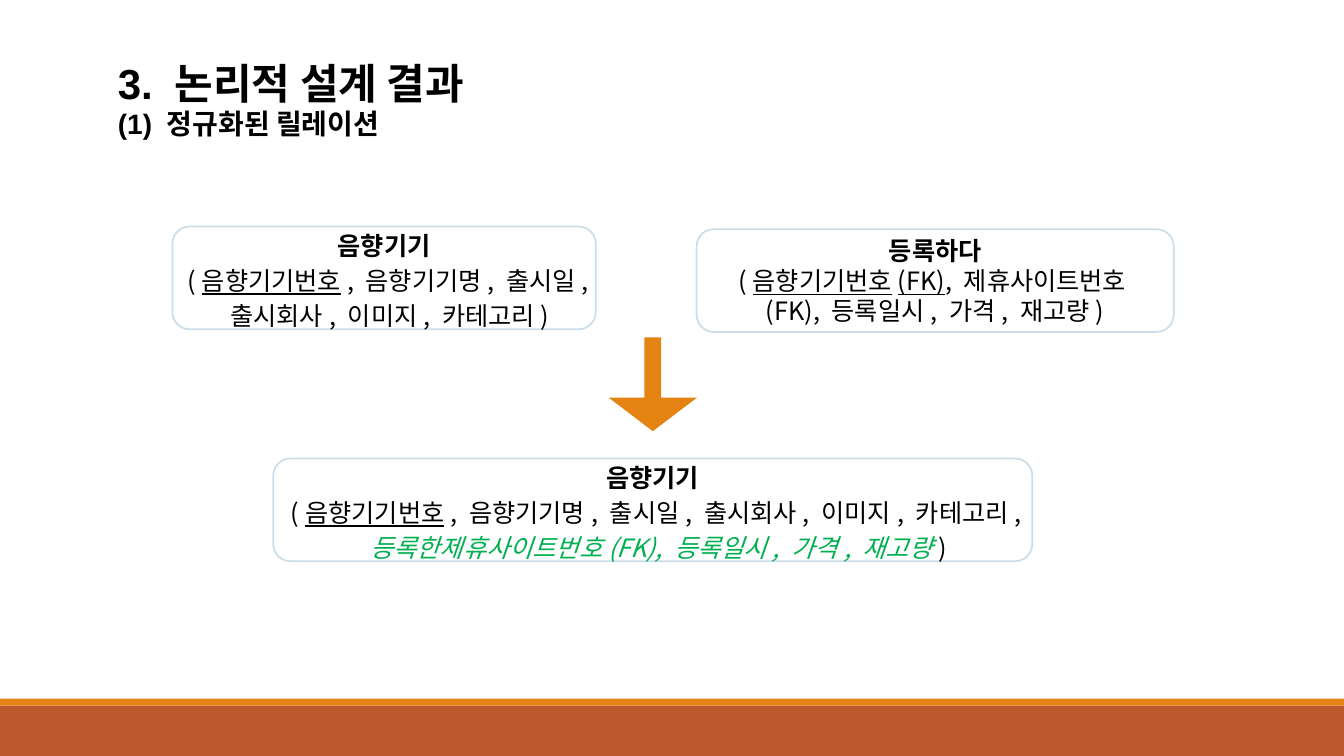
from dataclasses import dataclass

from lxml import etree
from pptx import Presentation
from pptx.dml.color import RGBColor
from pptx.enum.shapes import MSO_SHAPE
from pptx.enum.text import MSO_ANCHOR, MSO_AUTO_SIZE, PP_ALIGN
from pptx.oxml.ns import qn
from pptx.util import Pt

RECTANGLE = MSO_SHAPE.RECTANGLE
ROUNDED = MSO_SHAPE.ROUNDED_RECTANGLE
DOWN_ARROW = MSO_SHAPE.DOWN_ARROW
TOP, MIDDLE = MSO_ANCHOR.TOP, MSO_ANCHOR.MIDDLE
LEFT, CENTER = PP_ALIGN.LEFT, PP_ALIGN.CENTER
FIXED_SIZE = MSO_AUTO_SIZE.NONE
TITLE_ONLY = 5


@dataclass(frozen=True)
class Theme:
    """Colours, fonts and type sizes of the deck."""
    text: str = "000000"
    paper: str = "FFFFFF"
    outline: str = "CCDDEA"
    accent: str = "E48312"
    footer: str = "BD582C"
    merged: str = "00B050"
    latin: str = "Arial"
    korean: str = "Noto Sans CJK KR"
    title: int = 30
    subtitle: int = 20
    body: int = 18


THEME = Theme()
KEY = {"underline": True}
MERGED = {"italic": True, "color": THEME.merged}


def add_span(para, text, color=THEME.text, **formats):
    """Append a run with the given font formats."""
    span = para.add_run()
    span.text = text
    values = {"name": THEME.korean, "size": Pt(THEME.body), "bold": False, **formats}
    for name, value in values.items():
        setattr(span.font, name, value)
    span.font.color.rgb = RGBColor.from_string(color)
    east_asian = etree.Element(qn("a:ea"), typeface=THEME.korean)
    span.font._element.find(qn("a:latin")).addnext(east_asian)


def add_lines(frame, lines, alignment, anchor):
    """Fill a text frame with (line height, spans) paragraphs."""
    settings = {"word_wrap": True, "auto_size": FIXED_SIZE, "vertical_anchor": anchor}
    for name, value in settings.items():
        setattr(frame, name, value)
    for index, (height, spans) in enumerate(lines):
        para = frame.add_paragraph() if index else frame.paragraphs[0]
        layout = {"alignment": alignment, "line_spacing": Pt(height),
                  "space_before": Pt(0), "space_after": Pt(0)}
        for name, value in layout.items():
            setattr(para, name, value)
        for text, formats in spans:
            add_span(para, text, **formats)


def add_block(page, kind, box, fill, outline=None):
    """Add a filled shape without shadow, outlined if a colour is given."""
    shape = page.shapes.add_shape(kind, *map(Pt, box))
    shape.shadow.inherit = False
    shape.fill.solid()
    shape.fill.fore_color.rgb = RGBColor.from_string(fill)
    if outline:
        shape.line.color.rgb = RGBColor.from_string(outline)
        shape.line.width = Pt(1.25)
    else:
        shape.line.fill.background()
    return shape


def add_footer(page, box):
    """Draw the footer band with an accent strip along its top."""
    left, top, width, height = box
    strip = 5
    add_block(page, RECTANGLE, (left, top + strip, width, height - strip), THEME.footer)
    add_block(page, RECTANGLE, (left, top, width, strip), THEME.accent)


def add_heading(page, box, title, subtitle):
    """Place the title and its subtitle in the title placeholder."""
    holder = page.shapes.title
    for name, value in zip(("left", "top", "width", "height"), box):
        setattr(holder, name, Pt(value))
    lines = [
        (height, [(text, {"name": THEME.latin, "size": Pt(size), "bold": True})])
        for text, size, height in ((title, THEME.title, 39), (subtitle, THEME.subtitle, 23))
    ]
    add_lines(holder.text_frame, lines, LEFT, TOP)


def add_relation(page, box, name, spans, line_height):
    """Draw a relation box with its bold name above its attributes."""
    shape = add_block(page, ROUNDED, box, THEME.paper, THEME.outline)
    lines = [(line_height, [(name, {"bold": True})]), (line_height, spans)]
    add_lines(shape.text_frame, lines, CENTER, MIDDLE)


def add_merge_arrow(page, box):
    """Draw the arrow that leads to the merged relation."""
    arrow = add_block(page, DOWN_ARROW, box, THEME.accent)
    arrow.adjustments[0] = 0.19
    arrow.adjustments[1] = 0.38


def main():
    """Build and save the deck."""
    deck = Presentation()
    deck.slide_width, deck.slide_height = Pt(960), Pt(540)
    page = deck.slides.add_slide(deck.slide_layouts[TITLE_ONLY])
    add_footer(page, (0, 499, 960, 41))
    add_heading(page, (77, 34.5, 348.5, 67.7), "3. 논리적 설계 결과", "(1) 정규화된 릴레이션")
    add_merge_arrow(page, (434.8, 241, 63, 67))

    device_key = [("(", {}), ("음향기기번호", KEY)]
    relations = [
        ((123.2, 161.8, 302.4, 73.4), "음향기기", 25,
         device_key + [(", 음향기기명, 출시일, 출시회사, 이미지, 카테고리)", {})]),
        ((497.6, 163.7, 340.8, 73.4), "등록하다", 21.5,
         [("(", {}), ("음향기기번호(FK)", KEY),
          (", 제휴사이트번호(FK), 등록일시, 가격, 재고량)", {})]),
        ((195.2, 327.5, 542.2, 73.4), "음향기기", 25,
         device_key + [(", 음향기기명, 출시일, 출시회사, 이미지, 카테고리, ", {}),
                       ("등록한제휴사이트번호(FK), 등록일시, 가격, 재고량", MERGED), (")", {})]),
    ]
    for box, name, line_height, spans in relations:
        add_relation(page, box, name, spans, line_height)
    deck.save("out.pptx")


if __name__ == "__main__":
    main()
